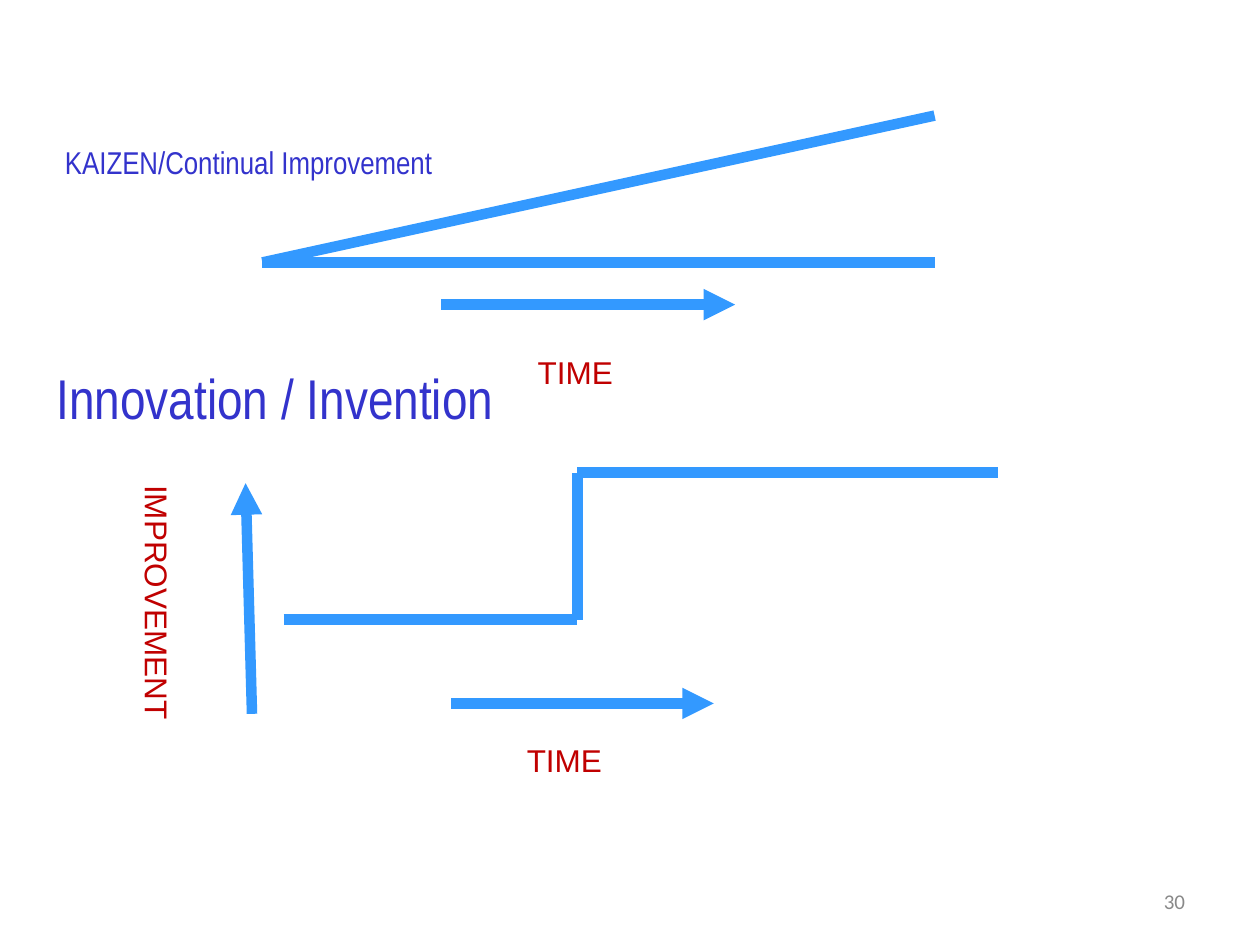
"""Build a slide that sets steady Kaizen gains against the step of innovation."""
from lxml import etree
from pptx import Presentation
from pptx import util as u
from pptx.dml.color import RGBColor
from pptx.enum import shapes, text
from pptx.oxml.ns import qn

BLUE, RED, NAVY, GREY = "3399FF", "C00000", "3333CC", "898989"
TOP, MID = text.MSO_ANCHOR.TOP, text.MSO_ANCHOR.MIDDLE
LEFT, RIGHT, CENTER = text.PP_ALIGN.LEFT, text.PP_ALIGN.RIGHT, text.PP_ALIGN.CENTER
GROW, FIX = text.MSO_AUTO_SIZE.SHAPE_TO_FIT_TEXT, text.MSO_AUTO_SIZE.NONE


def paint(color, code):
    color.rgb = RGBColor.from_string(code)


deck = Presentation()
deck.slide_width, deck.slide_height = u.Cm(25.4), u.Cm(19.05)
slide = deck.slides.add_slide(deck.slide_layouts[6])

left, base, right = 5.29, 5.29, 18.84
step, low, high = 11.64, 12.49, 9.53
lines = [
    (left, base, right, base, False),
    (left, base, right, 2.33, False),
    (8.89, 6.14, 14.82, 6.14, True),
    (5.72, low, step, low, False),
    (step, low, step, high, False),
    (step, high, 20.11, high, False),
    (9.1, 14.18, 14.39, 14.18, True),
    (5.08, 14.39, 4.95, 9.74, True),
]
for *ends, arrow in lines:
    line = slide.shapes.add_connector(
        shapes.MSO_CONNECTOR.STRAIGHT, *[u.Cm(end) for end in ends])
    paint(line.line.color, BLUE)
    line.line.width = u.Pt(6)
    if arrow:
        etree.SubElement(line.line._get_or_add_ln(), qn("a:tailEnd"), type="triangle")
    etree.SubElement(line._element.spPr, qn("a:effectLst"))

labels = [
    ("TIME", (10.59, 6.99, 2.4, 1.02), 18, "Arial", RED, True, TOP, LEFT, GROW),
    ("TIME", (10.37, 14.82, 3.39, 1.02), 18, "Arial", RED, True, TOP, LEFT, GROW),
    ("KAIZEN/Continual Improvement", (1.06, 2.75, 10.58, 1.02), 18,
     "Arial Narrow", NAVY, True, TOP, LEFT, GROW),
    ("Innovation / Invention", (0.89, 7.2, 9.6, 1.62), 32,
     "Arial Narrow", NAVY, True, TOP, LEFT, GROW),
    ("30", (18.21, 17.65, 5.93, 1.02), 12, "Calibri", GREY, True, MID, RIGHT, FIX),
    ("IMPROVEMENT", (2.54, 9.53, 1.27, 6.56), 18, "Arial", RED, True, MID, CENTER, GROW),
]
for words, place, size, face, color, wrap, anchor, align, fit in labels:
    box = slide.shapes.add_textbox(*[u.Cm(side) for side in place])
    frame = box.text_frame
    frame.word_wrap, frame.auto_size = wrap, fit
    frame.vertical_anchor = anchor
    if words == "IMPROVEMENT":
        frame._txBody.bodyPr.set("vert", "eaVert")
        frame.margin_left = frame.margin_right = u.Cm(0.13)
        frame.margin_top = frame.margin_bottom = u.Cm(0.25)
    para = frame.paragraphs[0]
    para.alignment = align
    run = para.add_run()
    run.text = words
    run.font.size, run.font.name = u.Pt(size), face
    paint(run.font.color, color)

deck.save("out.pptx")
